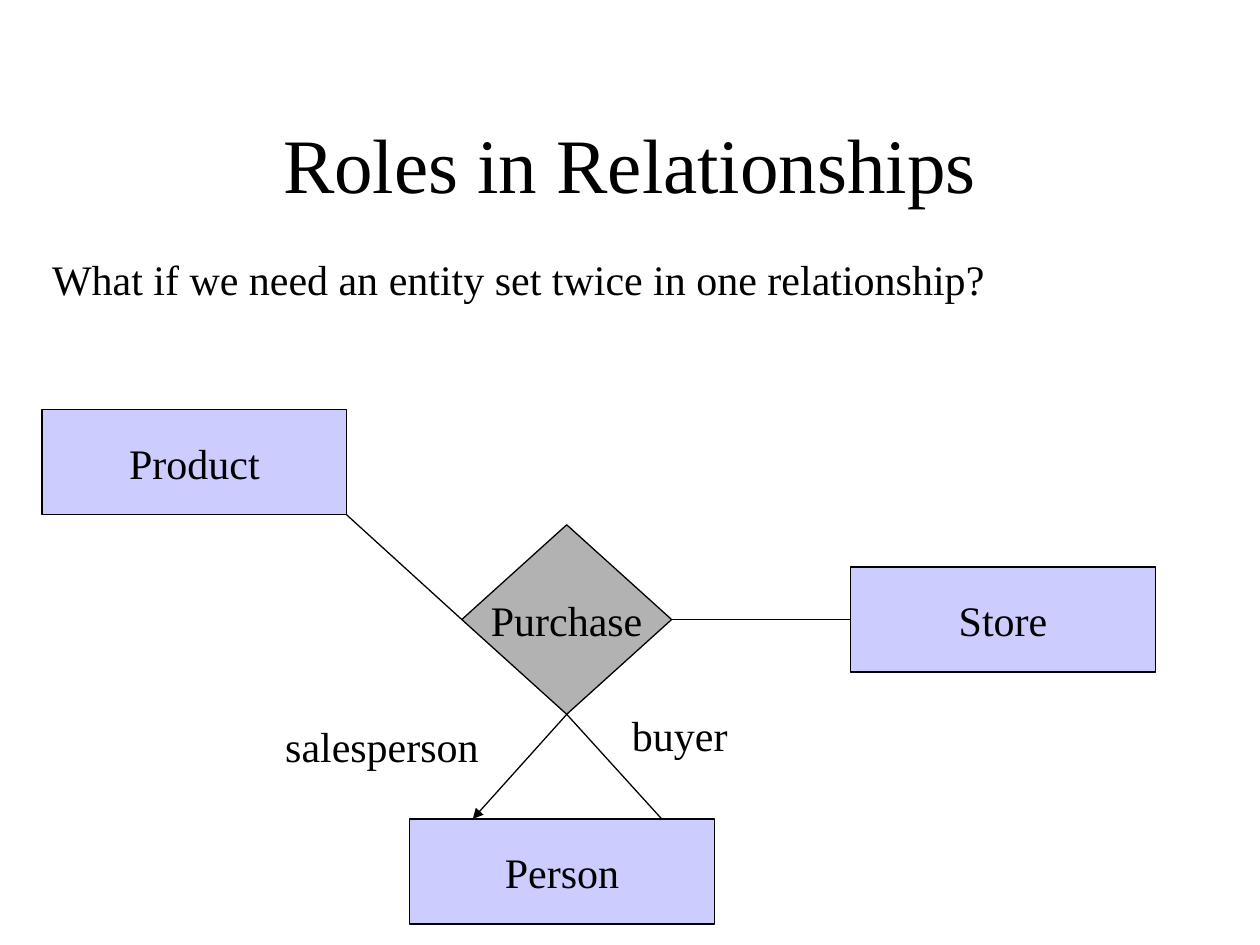
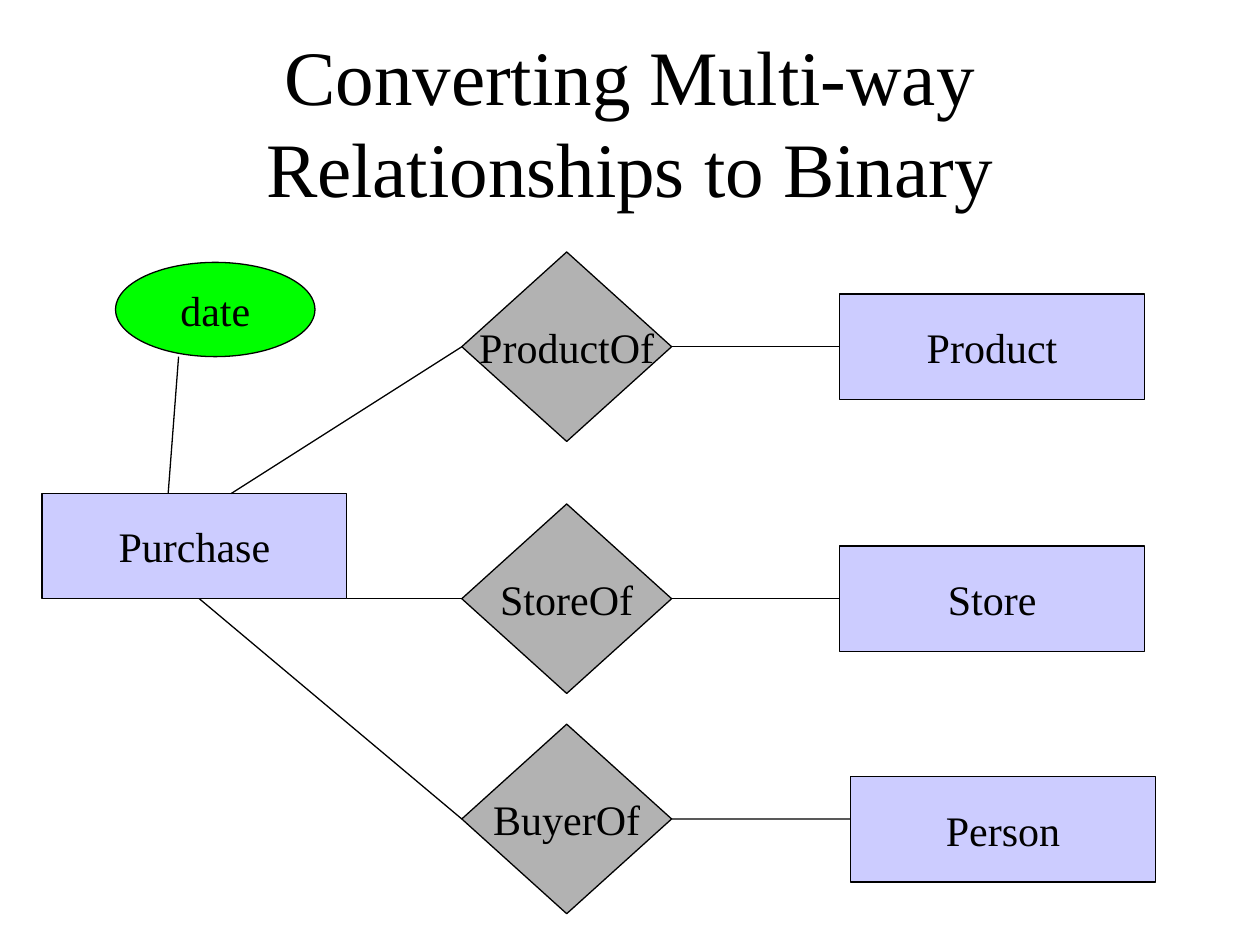
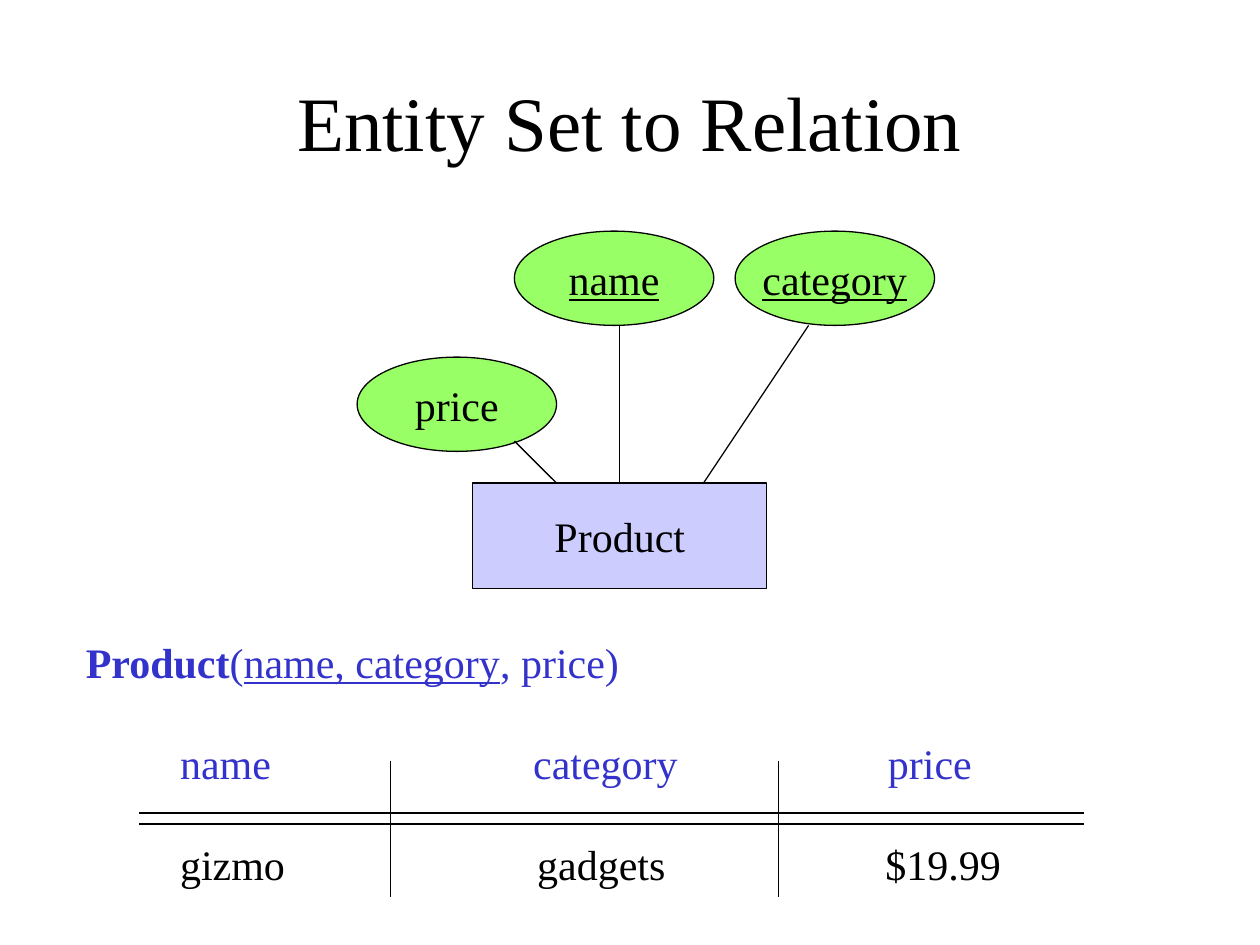
from lxml import etree
from pptx import Presentation
from pptx.dml.color import RGBColor
from pptx.enum.shapes import MSO_CONNECTOR, MSO_SHAPE
from pptx.enum.text import MSO_ANCHOR, PP_ALIGN
from pptx.oxml.ns import qn
from pptx.util import Cm, Pt

RECT = MSO_SHAPE.RECTANGLE
DIAMOND = MSO_SHAPE.DIAMOND
OVAL = MSO_SHAPE.OVAL
STRAIGHT = MSO_CONNECTOR.STRAIGHT
CENTER = PP_ALIGN.CENTER
MIDDLE = MSO_ANCHOR.MIDDLE
LEFT, BOTTOM, RIGHT = 1, 2, 3

FONT = "Times New Roman"
color = RGBColor.from_string
BLACK, BLUE = "000000", "3333CC"
LILAC, GRAY, GREEN, LIME = "CCCCFF", "B2B2B2", "00FF00", "99FF66"
BOX = (6.14, 2.12)
GEM = (4.23, 3.82)
EGG = (4.02, 1.9)


def node(slide, text, spot, size, kind=None, fill=None, points=24):
    area = [Cm(value) for value in (*spot, *size)]
    if kind is None:
        shape = slide.shapes.add_textbox(*area)
    else:
        shape = slide.shapes.add_shape(kind, *area)
        shape.shadow.inherit = False
        shape.fill.solid()
        shape.fill.fore_color.rgb = color(fill)
        shape.line.color.rgb = color(BLACK)
        shape.line.width = Pt(0.75)
    frame = shape.text_frame
    frame.text = text
    frame.word_wrap = kind is None
    if kind is not None:
        frame.vertical_anchor = MIDDLE
    for para in frame.paragraphs:
        if kind is not None:
            para.alignment = CENTER
        for run in para.runs:
            run.font.name = FONT
            run.font.size = Pt(points)
            run.font.color.rgb = color(BLACK)
    return shape


def link(slide, start, stop, begin=None, end=None):
    line = slide.shapes.add_connector(STRAIGHT, *[Cm(value) for value in (*start, *stop)])
    line.line.color.rgb = color(BLACK)
    line.line.width = Pt(0.75)
    etree.SubElement(line._element.spPr, qn("a:effectLst"))
    if begin:
        line.begin_connect(*begin)
    if end:
        line.end_connect(*end)
    return line


deck = Presentation()
deck.slide_width = Cm(25.4)
deck.slide_height = Cm(19.05)

pages = []
for text, top in [
    ("Roles in Relationships", 1.7),
    ("Converting Multi-way Relationships to Binary", 0.85),
    ("Entity Set to Relation", 0.85),
]:
    page = deck.slides.add_slide(deck.slide_layouts[6])
    title = node(page, text, (1.9, top), (21.6, 3.18), points=44)
    title.text_frame.vertical_anchor = MIDDLE
    title.text_frame.paragraphs[0].alignment = CENTER
    pages.append(page)
roles, binary, entity = pages

deal = node(roles, "Purchase", (9.31, 10.58), GEM, DIAMOND, GRAY)
node(roles, "Product", (0.85, 8.26), BOX, RECT, LILAC)
node(roles, "Person", (8.26, 16.51), BOX, RECT, LILAC)
store = node(roles, "Store", (17.15, 11.43), BOX, RECT, LILAC)
for text, spot, width in [
    ("What if we need an entity set twice in one relationship?", (0.8, 4.98), 19.7),
    ("salesperson", (5.5, 14.4), 4.7),
    ("buyer", (12.49, 14.18), 2.7),
]:
    node(roles, text, spot, (width, 1.27))
link(roles, (6.99, 10.38), (9.31, 12.49), end=(deal, LEFT))
link(roles, (13.54, 12.49), (17.15, 12.49), (deal, RIGHT), (store, LEFT))
link(roles, (11.43, 14.4), (13.34, 16.51), (deal, BOTTOM))
seller = link(roles, (11.43, 14.4), (9.53, 16.51), (deal, BOTTOM))
etree.SubElement(seller.line._get_or_add_ln(), qn("a:tailEnd"), type="triangle")

node(binary, "Purchase", (0.85, 9.95), BOX, RECT, LILAC)
for label, top, name, spot, level, source in [
    ("ProductOf", 5.08, "Product", (16.93, 5.93), True, (4.66, 9.95)),
    ("StoreOf", 10.16, "Store", (16.93, 11.01), True, (6.99, 12.07)),
    ("BuyerOf", 14.6, "Person", (17.15, 15.66), False, (4.02, 12.07)),
]:
    gem = node(binary, label, (9.31, top), GEM, DIAMOND, GRAY)
    box = node(binary, name, spot, BOX, RECT, LILAC)
    mid = top + GEM[1] / 2
    link(binary, (9.31, mid), source, (gem, LEFT))
    link(binary, (13.54, mid), (spot[0], mid), (gem, RIGHT), (box, LEFT) if level else None)
node(binary, "date", (2.33, 5.29), EGG, OVAL, GREEN)
link(binary, (3.39, 9.95), (3.6, 7.19))

node(entity, "Product", (9.53, 9.74), (5.93, 2.12), RECT, LILAC)
for text, spot, key, start, stop in [
    ("name", (10.37, 4.66), True, (12.49, 9.74), (12.49, 6.56)),
    ("category", (14.82, 4.66), True, (14.18, 9.74), (16.3, 6.56)),
    ("price", (7.2, 7.2), False, (11.22, 9.74), (10.37, 8.89)),
]:
    egg = node(entity, text, spot, EGG, OVAL, LIME)
    egg.text_frame.paragraphs[0].runs[0].font.underline = key
    link(entity, start, stop)

rows = "Product\n\tname\tcategory\tprice\n\tgizmo\tgadgets\t$19.99"
schema = node(entity, rows, (1.48, 12.7), (19.5, 5.33))
head, names, values = schema.text_frame.paragraphs
head.runs[0].font.bold = True
for text, key in [("(", False), ("name, category", True), (", price)", False)]:
    run = head.add_run()
    run.text = text
    run.font.name = FONT
    run.font.size = Pt(24)
    run.font.underline = key
for run in (*head.runs, *names.runs):
    run.font.color.rgb = color(BLUE)
for row, stops in [(names, (1.9, 9.02, 16.17)), (values, (1.9, 9.1, 16.12))]:
    row.space_before = Pt(29)
    tabs = etree.SubElement(row._p.get_or_add_pPr(), qn("a:tabLst"))
    for stop in stops:
        etree.SubElement(tabs, qn("a:tab"), pos=str(Cm(stop)), algn="l")
for y in (16.39, 16.61):
    link(entity, (2.8, y), (21.85, y))
for x in (7.87, 15.7):
    link(entity, (x, 15.34), (x, 18.08))

deck.save("out.pptx")
